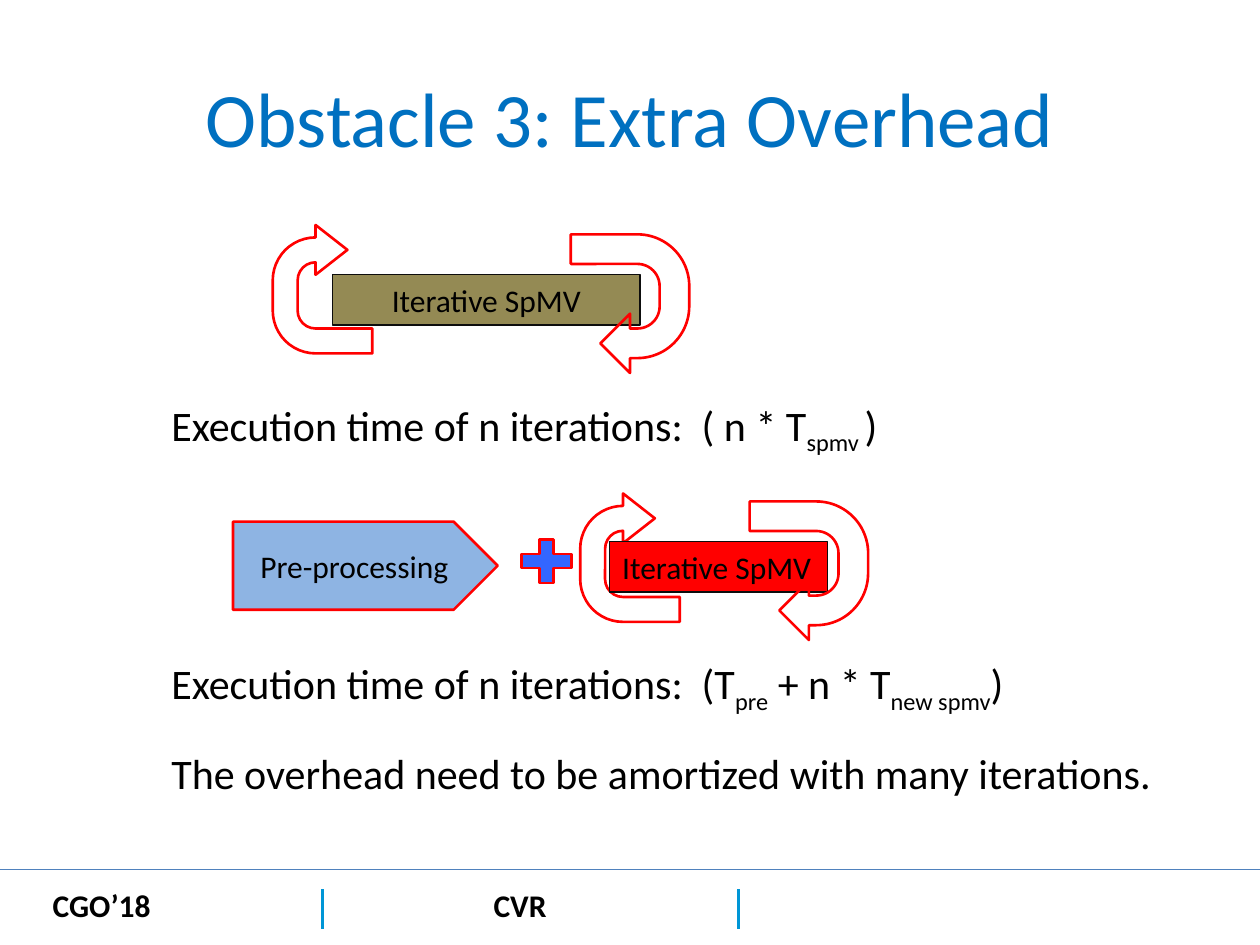
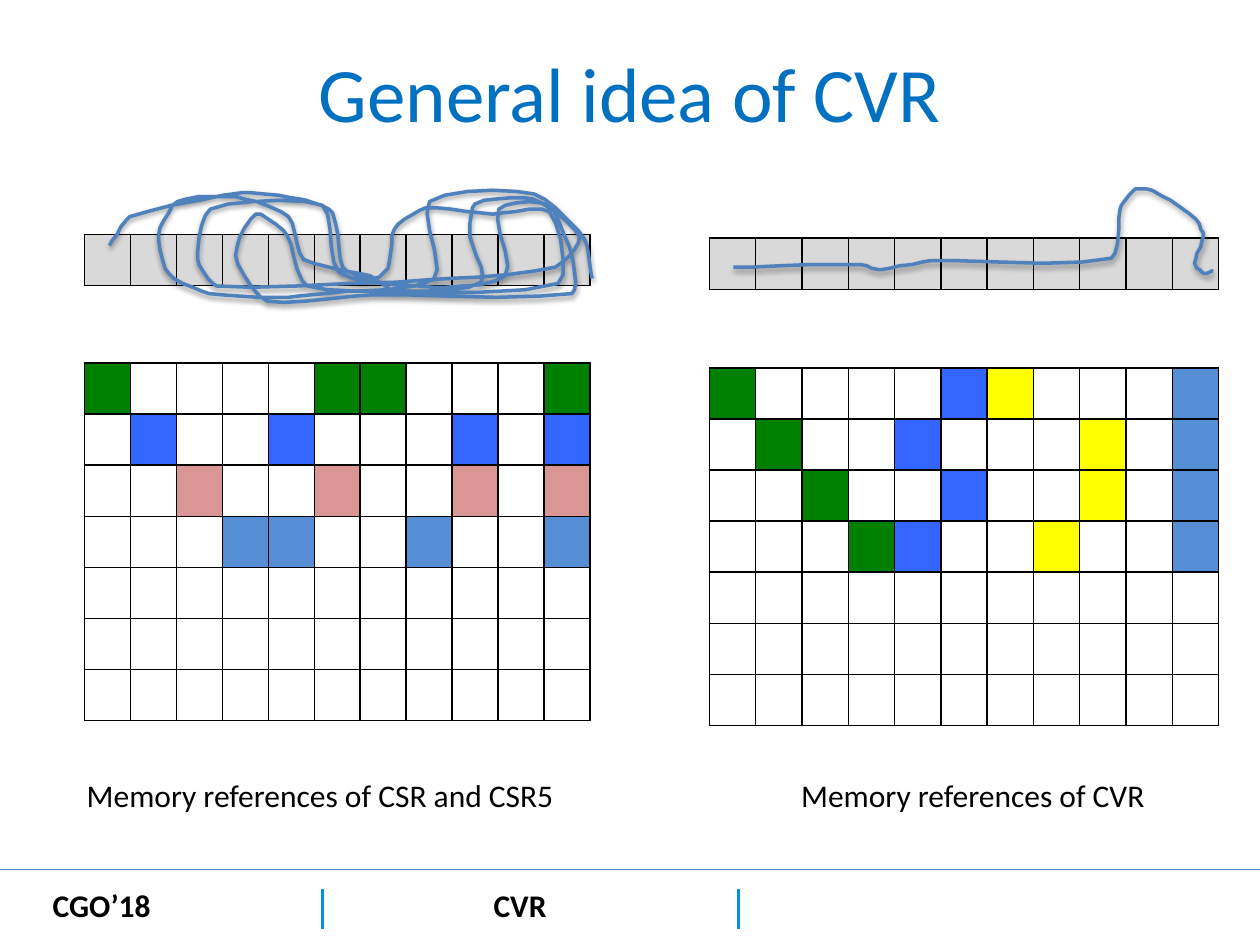
"""Build two slides on SpMV overhead and the general idea of CVR."""
from math import dist
from lxml.etree import SubElement
from pptx import Presentation
from pptx.dml.color import RGBColor
from pptx.enum.shapes import MSO_CONNECTOR, MSO_SHAPE
from pptx.enum.text import MSO_ANCHOR, PP_ALIGN
from pptx.oxml import parse_xml
from pptx.oxml.ns import nsdecls, qn
from pptx.util import Pt

BLACK = RGBColor.from_string("000000")
INK = RGBColor.from_string("0D0D0D")
TITLE = RGBColor.from_string("0070C0")
DIVIDER = RGBColor.from_string("0096D6")
ACCENT = RGBColor.from_string("4F81BD")
RED = RGBColor.from_string("FF0000")
OLIVE = RGBColor.from_string("948A54")
PALE = RGBColor.from_string("8EB4E3")
BLUE = RGBColor.from_string("3366FF")
CELLS = {
    "g": RGBColor.from_string("008000"),
    "b": BLUE,
    "p": RGBColor.from_string("D99694"),
    "s": RGBColor.from_string("558ED5"),
    "y": RGBColor.from_string("FFFF00"),
    "x": RGBColor.from_string("D9D9D9"),
}
FONT = "Calibri"
WIDTH, HEIGHT = 720, 540
ROW_H = 29.2
LABEL_H = 28.8

FOOTER_RULE_Y = 496.8
DIVIDER_XS, DIVIDER_TOP, DIVIDER_END = (422, 184.3), 508.3, 530.6
FOOTER_TEXTS = [("CVR", 275, 45.4), ("CGO’18", 23, 71.3)]
FOOTER_Y = 502.6
TITLE_X, TITLE_Y = 36, 21.6

PREFIX = "Execution time of n iterations:  "
FORMULA_X, FORMULA_W = 86.4, 626
FORMULAS = [
    (224.6, [(PREFIX + "( n * T", 0), ("spmv ", 1), (")", 0)]),
    (372.2, [(PREFIX + "(T", 0), ("pre", 1), (" + n * T", 0),
             ("new spmv", 1), (")", 0)]),
    (423.4, [("The overhead need to be amortized with many iterations.", 0)]),
]
STEPS = [
    (MSO_SHAPE.PENTAGON, (133.2, 298.1, 151.2, 50.4), PALE, "Pre-processing"),
    (MSO_SHAPE.MATH_PLUS, (293, 303.8, 38.9, 33.8), BLUE, ""),
]
LOOPS = [
    ((147.6, 136.8), (190.1, 157, 175.7, LABEL_H), OLIVE, PP_ALIGN.CENTER, (320.4, 139.7)),
    ((323.3, 290.2), (348.5, 309.6, 124.6, LABEL_H), RED, PP_ALIGN.LEFT, (422.6, 292.3)),
]
LOOP_TEXT = "Iterative SpMV"
LEFT_ARROW = ((73.4, 56.9), 270, (0.25, 0.25, 0.32, 0.44, 0.75))
RIGHT_ARROW = ((79.2, 67.7), 90, ())

VECTOR = ["x" * 11]
EMPTY_ROWS = ["." * 11] * 3
CSR_GRID = ["g....gg...g", ".b..b...b.b", "..p..p..p.p", "...ss..s..s"] + EMPTY_ROWS
CVR_GRID = ["g....by...s", ".g..b...y.s", "..g..b..y.s", "...gb..y..s"] + EMPTY_ROWS
CAPTION_Y = 439.9
TRACK_UNIT = 0.72
CSR_TRACK = [
    (87, 195), (103, 172), (192, 153), (238, 158), (264, 169), (272, 212),
    (295, 222), (308, 213), (313, 182), (338, 165), (391, 170), (436, 168),
    (443, 225), (276, 231), (229, 236), (166, 233), (134, 217), (126, 186),
    (141, 160), (187, 156), (229, 172), (241, 206), (294, 219), (313, 231),
    (382, 224), (373, 188), (377, 162), (423, 158), (460, 188), (441, 212),
    (341, 222), (172, 227), (157, 206), (167, 166), (256, 163), (269, 216),
    (344, 228), (401, 219), (396, 166), (435, 163), (454, 203), (454, 233),
    (295, 234), (212, 239), (187, 203), (203, 170), (228, 187), (244, 227),
    (344, 222), (341, 160), (424, 154), (464, 190), (470, 221),
]
CVR_TRACK = [
    (582, 212), (680, 210), (700, 214), (738, 207), (882, 205), (889, 166),
    (901, 150), (916, 152), (948, 173), (955, 188), (948, 209), (955, 217), (963, 215),
]
PANELS = [
    (CVR_GRID, 405.4, 136.1, 210.2, 26.45,
     "Memory references of CVR", 450.7, 214.6, CVR_TRACK),
    (CSR_GRID, 48.2, 133.9, 207.4, 26.3,
     "Memory references of CSR and CSR5", 42.5, 285.1, CSR_TRACK),
]


def write(tf, runs, size=18, color=BLACK, bold=False, align=PP_ALIGN.LEFT):
    p = tf.paragraphs[0]
    p.alignment = align
    for text, sub in runs:
        r = p.add_run()
        r.text = text
        for name, value in {"name": FONT, "size": Pt(size), "bold": bold}.items():
            setattr(r.font, name, value)
        r.font.color.rgb = color
        if sub:
            r._r.get_or_add_rPr().set("baseline", "-25000")


def add_text(slide, box, runs, wrap=True, anchor=MSO_ANCHOR.TOP, left=7.2, **style):
    tf = slide.shapes.add_textbox(*map(Pt, box)).text_frame
    for name, value in {"word_wrap": wrap, "vertical_anchor": anchor,
                        "margin_left": Pt(left)}.items():
        setattr(tf, name, value)
    write(tf, runs, **style)


def add_shape(slide, kind, box, fill=None, line=RED, width=1.5):
    sp = slide.shapes.add_shape(kind, *map(Pt, box))
    sp.shadow.inherit = False
    if fill is None:
        sp.fill.background()
    else:
        sp.fill.solid()
        sp.fill.fore_color.rgb = fill
    sp.line.color.rgb = line
    sp.line.width = Pt(width)
    return sp


def add_turn(slide, corner, arrow):
    size, angle, adjustments = arrow
    sp = add_shape(slide, MSO_SHAPE.U_TURN_ARROW, corner + size)
    sp.rotation = angle
    for i, value in enumerate(adjustments):
        sp.adjustments[i] = value


def add_loop(slide, left, box, fill, align, right):
    add_turn(slide, left, LEFT_ARROW)
    sp = add_shape(slide, MSO_SHAPE.RECTANGLE, box, fill, INK, 0.75)
    sp.text_frame.vertical_anchor = MSO_ANCHOR.TOP
    write(sp.text_frame, [(LOOP_TEXT, 0)], align=align)
    add_turn(slide, right, RIGHT_ARROW)


def add_grid(slide, rows, x, y, col_w):
    n_rows, n_cols = len(rows), len(rows[0])
    frame = slide.shapes.add_table(n_rows, n_cols, Pt(x), Pt(y),
                                   Pt(col_w * n_cols), Pt(ROW_H * n_rows))
    table = frame.table
    table.first_row = table.horz_banding = False
    for col in table.columns:
        col.width = Pt(col_w)
    for r, row in enumerate(rows):
        table.rows[r].height = Pt(ROW_H)
        for c, key in enumerate(row):
            cell = table.cell(r, c)
            if key in CELLS:
                cell.fill.solid()
                cell.fill.fore_color.rgb = CELLS[key]
            else:
                cell.fill.background()
            tcPr = cell._tc.get_or_add_tcPr()
            for i, side in enumerate("LRTB"):
                tcPr.insert(i, parse_xml(
                    f'<a:ln{side} {nsdecls("a")} w="{Pt(1)}"><a:solidFill>'
                    f'<a:srgbClr val="{BLACK}"/></a:solidFill></a:ln{side}>'))


def smooth(points, steps=5, tension=0.6):
    ends = [points[0]] + points + [points[-1]]
    slopes = []
    for before, after in zip(ends, ends[2:]):
        length = dist(before, after)
        slopes.append([(b - a) / length for a, b in zip(before, after)])
    curve = [points[0]]
    for i, (start, end) in enumerate(zip(points, points[1:])):
        reach = tension * dist(start, end)
        for k in range(1, steps + 1):
            t = k / steps
            blend = t * t * (3 - 2 * t)
            out, into = reach * t * (1 - t) ** 2, reach * t * t * (t - 1)
            curve.append(tuple(
                a + (b - a) * blend + out * u + into * v
                for a, b, u, v in zip(start, end, slopes[i], slopes[i + 1])))
    return curve


def add_track(slide, points):
    first, *rest = smooth(points)
    builder = slide.shapes.build_freeform(*first, scale=Pt(TRACK_UNIT))
    builder.add_line_segments(rest, close=False)
    sp = builder.convert_to_shape()
    sp.fill.background()
    sp.line.color.rgb = ACCENT
    sp.line.width = Pt(2)
    sp._element.spPr.append(parse_xml(
        f'<a:effectLst {nsdecls("a")}><a:outerShdw blurRad="{Pt(3.1)}" '
        f'dist="{Pt(1.6)}" dir="5400000" rotWithShape="0"><a:srgbClr val="{BLACK}">'
        '<a:alpha val="38000"/></a:srgbClr></a:outerShdw></a:effectLst>'))


def add_rule(slide, ends, color, width):
    cn = slide.shapes.add_connector(MSO_CONNECTOR.STRAIGHT, *map(Pt, ends))
    cn.line.color.rgb = color
    cn.line.width = Pt(width)
    SubElement(cn._element.spPr, qn("a:effectLst"))


def new_slide(prs, title, title_h):
    slide = prs.slides.add_slide(prs.slide_layouts[6])
    for x in DIVIDER_XS:
        add_rule(slide, (x, DIVIDER_TOP, x, DIVIDER_END), DIVIDER, 2)
    add_rule(slide, (0, FOOTER_RULE_Y, WIDTH, FOOTER_RULE_Y), ACCENT, 1)
    for text, x, w in FOOTER_TEXTS:
        add_text(slide, (x, FOOTER_Y, w, LABEL_H), [(text, 0)], wrap=False, bold=True)
    add_text(slide, (TITLE_X, TITLE_Y, WIDTH - 2 * TITLE_X, title_h), [(title, 0)],
             anchor=MSO_ANCHOR.MIDDLE, size=44, color=TITLE, align=PP_ALIGN.CENTER)
    return slide


def build_overhead(prs):
    slide = new_slide(prs, "Obstacle 3: Extra Overhead", 90)
    for y, runs in FORMULAS:
        add_text(slide, (FORMULA_X, y, FORMULA_W, 39.6), runs, left=11.5, size=24)
    for kind, box, fill, text in STEPS:
        sp = add_shape(slide, kind, box, fill)
        if text:
            write(sp.text_frame, [(text, 0)], align=PP_ALIGN.CENTER)
    for loop in LOOPS:
        add_loop(slide, *loop)


def build_idea(prs):
    slide = new_slide(prs, "General idea of CVR", 61.2)
    for grid, x, vector_y, grid_y, col_w, caption, caption_x, caption_w, track in PANELS:
        add_grid(slide, grid, x, grid_y, col_w)
        add_grid(slide, VECTOR, x, vector_y, col_w)
        add_text(slide, (caption_x, CAPTION_Y, caption_w, LABEL_H), [(caption, 0)], wrap=False)
        add_track(slide, track)


def main():
    prs = Presentation()
    prs.slide_width, prs.slide_height = Pt(WIDTH), Pt(HEIGHT)
    build_overhead(prs)
    build_idea(prs)
    prs.save("out.pptx")


if __name__ == "__main__":
    main()
